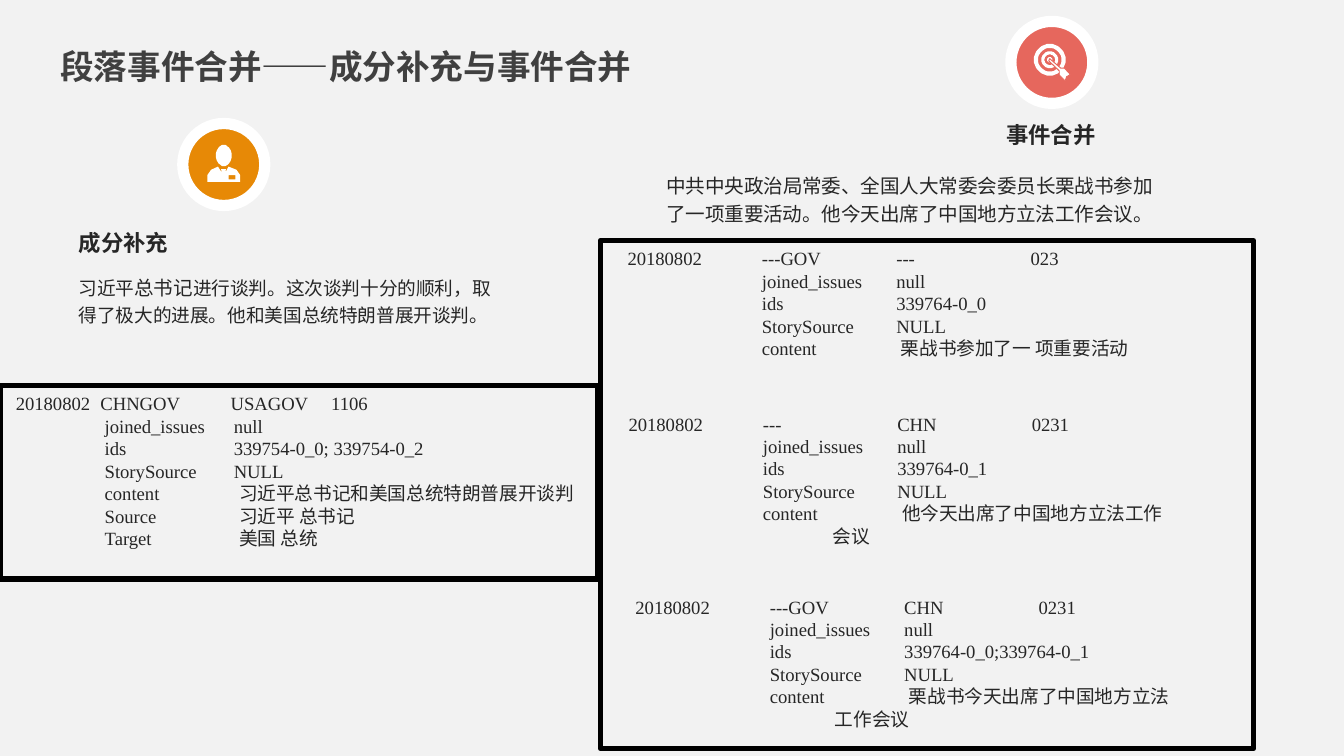
from dataclasses import dataclass
from math import cos, pi, sin

from lxml import etree
from pptx import Presentation
from pptx.dml.color import RGBColor
from pptx.enum import shapes, text
from pptx.oxml.ns import qn
from pptx.util import Cm, Pt


@dataclass(frozen=True)
class Theme:
    background: str = "F2F2F2"
    title: str = "404040"
    body: str = "262626"
    white: str = "FFFFFF"
    black: str = "000000"
    orange: str = "E78906"
    red: str = "E6675D"
    cjk: str = "Noto Sans CJK SC"
    title_size: float = 18
    heading_size: float = 12
    lead_size: float = 10.5
    body_size: float = 10


THEME = Theme()


@dataclass(frozen=True)
class Box:
    """A place on the slide, in centimetres."""
    left: float
    top: float
    width: float
    height: float

    def lengths(self) -> list:
        return [Cm(v) for v in (self.left, self.top, self.width, self.height)]


@dataclass(frozen=True)
class Style:
    font: str
    size: float
    color: str = THEME.body
    bold: bool = False


@dataclass(frozen=True)
class Row:
    """One line of a record; stops are tab positions in centimetres."""
    cells: tuple
    stops: tuple = (2.54, 5.08, 7.62)


@dataclass(frozen=True)
class Record:
    box: Box
    rows: tuple


TITLE = Style(THEME.cjk, THEME.title_size, THEME.title, True)
HEADING = Style("Arial", THEME.heading_size, bold=True)
BODY = Style("Calibri", THEME.body_size)
LEAD = Style("Calibri", THEME.lead_size)
DATA = Style("Times New Roman", THEME.body_size)


def event(header: tuple, ids: str, content: str, rest: str = "",
          indent: float = 0) -> tuple:
    """Rows of an event, with an optional second line of content."""
    rows = [Row(header), Row(("", "joined_issues", "null")), Row(("", "ids", ids)),
            Row(("", "StorySource", "NULL")), Row(("", "content", " " + content))]
    if rest:
        rows.append(Row(("", rest), (indent,)))
    return tuple(rows)


FIELD, CJK_FIELD = (1.68, 4.12), (1.68, 4.22)
RECORDS = (
    Record(Box(11.61, 4.55, 12, 2.39), event(
        ("20180802", "---GOV", "---", "023"), "339764-0_0", "栗战书参加了一 项重要活动")),
    Record(Box(11.63, 7.67, 12, 2.82), event(
        ("20180802", "---", "CHN", "0231"), "339764-0_1",
        "他今天出席了中国地方立法工作", "会议", 3.86)),
    Record(Box(11.76, 11.13, 12, 2.82), event(
        ("20180802", "---GOV", "CHN", "0231"), "339764-0_0;339764-0_1",
        "栗战书今天出席了中国地方立法", "工作会议", 3.77)),
    Record(Box(0.05, 7.29, 11.25, 3.25), (
        Row(("20180802", "CHNGOV", "USAGOV", "1106"), (1.6, 4.06, 5.96)),
        Row(("", "joined_issues", "null"), FIELD),
        Row(("", "ids", "339754-0_0; 339754-0_2"), FIELD),
        Row(("", "StorySource", "NULL"), FIELD),
        Row(("", "content", "习近平总书记和美国总统特朗普展开谈判"), CJK_FIELD),
        Row(("", "Source", "习近平 总书记"), CJK_FIELD),
        Row(("", "Target", "美国 总统"), CJK_FIELD))),
)
FRAMES = (Box(0, 7.29, 11.3, 3.66), Box(11.35, 4.55, 12.34, 9.6))


def rgb(color: str) -> RGBColor:
    return RGBColor.from_string(color)


def add_run(p, words: str, style: Style) -> None:
    r = p.add_run()
    r.text = words
    r.font.name, r.font.size, r.font.bold = style.font, Pt(style.size), style.bold
    r.font.color.rgb = rgb(style.color)
    ea = etree.SubElement(r._r.get_or_add_rPr(), qn("a:ea"))
    ea.set("typeface", THEME.cjk)


def add_frame(slide, box: Box):
    tf = slide.shapes.add_textbox(*box.lengths()).text_frame
    tf.word_wrap = True
    return tf


def add_text(slide, box: Box, runs: tuple, spacing: float = 1.2,
             align=text.PP_ALIGN.LEFT) -> None:
    p = add_frame(slide, box).paragraphs[0]
    p.line_spacing, p.alignment = spacing, align
    for words, style in runs:
        add_run(p, words, style)


def add_record(slide, record: Record) -> None:
    tf = add_frame(slide, record.box)
    for i, row in enumerate(record.rows):
        p = tf.add_paragraph() if i else tf.paragraphs[0]
        tabs = etree.SubElement(p._p.get_or_add_pPr(), qn("a:tabLst"))
        for stop in row.stops:
            etree.SubElement(tabs, qn("a:tab"), pos=str(int(Cm(stop))), algn="l")
        add_run(p, "\t".join(row.cells), DATA)


def paint(sp, fill: str = "", line: str = "", width: float = 0) -> None:
    sp.shadow.inherit = False
    if fill:
        sp.fill.solid()
        sp.fill.fore_color.rgb = rgb(fill)
    else:
        sp.fill.background()
    if line:
        sp.line.color.rgb, sp.line.width = rgb(line), Pt(width)
    else:
        sp.line.fill.background()


def add_preset(slide, kind, box: Box, **colors) -> None:
    paint(slide.shapes.add_shape(kind, *box.lengths()), **colors)


def add_outline(slide, x: float, y: float, contours: list, **colors) -> None:
    """Closed contours in hundredths of a centimetre around (x, y)."""
    first, *others = contours
    builder = slide.shapes.build_freeform(*first[0], scale=int(Cm(0.01)))
    builder.add_line_segments(first[1:])
    for points in others:
        builder.move_to(*points[0])
        builder.add_line_segments(points[1:])
    paint(builder.convert_to_shape(Cm(x), Cm(y)), **colors)


def oval(x: float, y: float, rx: float, ry: float, n: int = 36) -> list:
    return [(x + rx * cos(2 * pi * i / n), y + ry * sin(2 * pi * i / n)) for i in range(n)]


def add_badge(slide, x: float, y: float, color: str, size: float = 1.55) -> None:
    add_preset(slide, shapes.MSO_SHAPE.OVAL, Box(x - size / 2, y - size / 2, size, size),
               fill=color, line=THEME.white, width=6)


def add_person(slide, x: float, y: float) -> None:
    add_badge(slide, x, y, THEME.orange)
    body = [(-31, 33), (-31, 20), (-24, 10), (-11, 4), (-4, 15), (-5, 9), (4, 9),
            (3, 15), (9, 4), (24, 10), (31, 20), (31, 33)]
    pocket = [(9, 20), (22, 20), (22, 28), (9, 28)]
    add_outline(slide, x, y, [oval(0, -17, 15, 20), body, pocket], fill=THEME.white)


def add_target(slide, x: float, y: float) -> None:
    add_badge(slide, x, y, THEME.red)
    rings = [oval(-4, -5, radius, radius) for radius in (30, 22, 16, 10, 5)]
    add_outline(slide, x, y, rings, fill=THEME.white)
    dart = [(-4, -7), (17, 11), (24, 11), (35, 23), (28, 27), (25, 35), (14, 24),
            (14, 16), (-6, -3)]
    add_outline(slide, x, y, [dart], fill=THEME.white, line=THEME.red, width=0.5)


def main() -> None:
    prs = Presentation()
    prs.slide_width, prs.slide_height = Cm(25.4), Cm(14.29)
    s = prs.slides.add_slide(prs.slide_layouts[6])
    s.background.fill.solid()
    s.background.fill.fore_color.rgb = rgb(THEME.background)

    add_text(s, Box(0.89, 0.74, 11.81, 1.02),
             (("段落事件合并——成分补充与事件合并", TITLE),), spacing=1)
    add_person(s, 4.23, 3.11)
    add_text(s, Box(1.24, 5, 8.46, 1.3), (
        ("习近平", BODY), ("总书记", LEAD),
        ("进行谈判。这次谈判十分的顺利，取得了极大的进展。他和美国总统特朗普展开谈判。", BODY)))
    add_text(s, Box(1.24, 4.11, 6.6, 0.79), (("成分补充", HEADING),))

    right = text.PP_ALIGN.RIGHT
    add_text(s, Box(12.27, 3.07, 9.78, 1.9), ((
        "中共中央政治局常委、全国人大常委会委员长栗战书参加了一项重要活动。"
        "他今天出席了中国地方立法工作会议。", LEAD),), align=right)
    add_text(s, Box(13.31, 2.06, 7.65, 0.86), (("事件合并", HEADING),), align=right)
    for record in RECORDS:
        add_record(s, record)
    add_target(s, 19.88, 1.18)
    for frame in FRAMES:
        add_preset(s, shapes.MSO_SHAPE.RECTANGLE, frame, line=THEME.black, width=3)
    prs.save("out.pptx")


if __name__ == "__main__":
    main()
